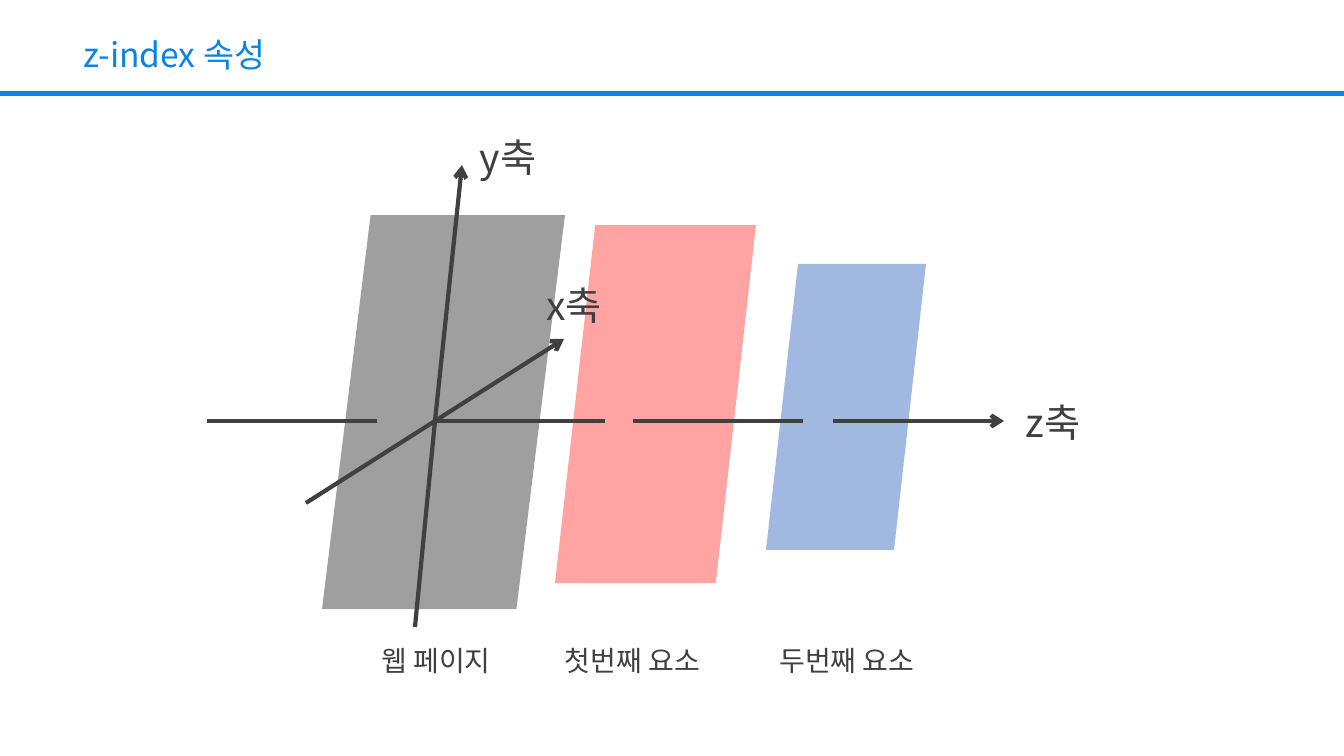
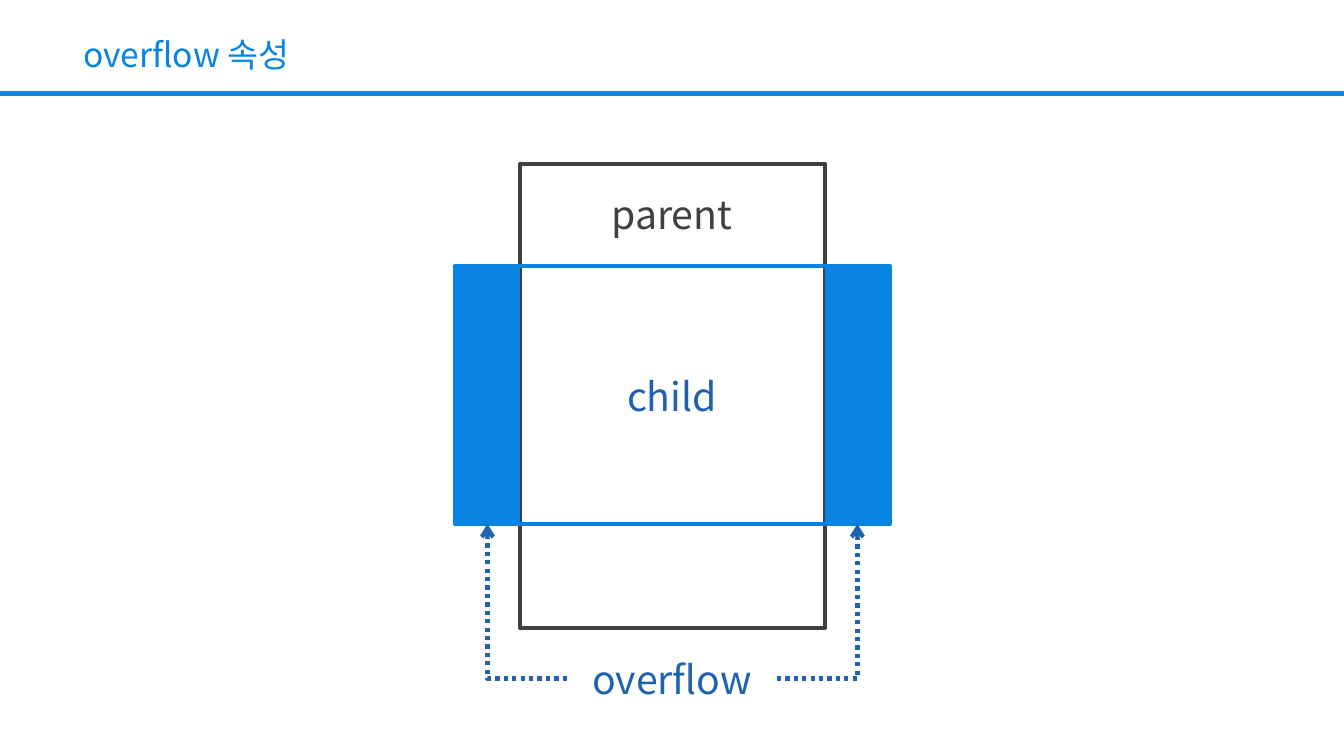
from pptx import Presentation
from pptx.dml.color import RGBColor
from pptx.enum.dml import MSO_LINE as Dash
from pptx.enum.shapes import MSO_CONNECTOR as Conn, MSO_SHAPE as Geom
from pptx.enum.text import MSO_ANCHOR as Anchor, PP_ALIGN as Align
from pptx.oxml.ns import qn
from pptx.util import Emu, Pt
from lxml.etree import SubElement as Sub

WIDE, HIGH = 1344, 756
UNIT = 12192000 / WIDE
FONT = "Noto Sans CJK KR"
BLUE, NAVY, DARK = "0984E3", "2162AF", "404040"
RED, SKY = "FF4949", "4472C4"


def px(*nums):
    """Turn px lengths into EMU."""
    return [Emu(round(n * UNIT)) for n in nums]


def hue(code):
    """Turn a hex string into a colour."""
    return RGBColor.from_string(code)


def write(frame, text, size, color, align=Align.CENTER):
    """Write one styled run into a text frame."""
    frame.word_wrap = True
    frame.vertical_anchor = Anchor.TOP
    para = frame.paragraphs[0]
    para.alignment = align
    run = para.add_run()
    run.text = text
    font = run.font
    font.size = Pt(size)
    font.color.rgb = hue(color)
    font.name = FONT
    Sub(run._r.get_or_add_rPr(), qn("a:ea")).set("typeface", FONT)


def label(slide, box, text, size=28, color=DARK):
    """Add a centred text box."""
    item = slide.shapes.add_textbox(*px(*box))
    write(item.text_frame, text, size, color)
    return item


def shape(slide, box, fill=None, edge=None, width=3, geom=Geom.RECTANGLE):
    """Add a preset shape with an optional fill and edge."""
    item = slide.shapes.add_shape(geom, *px(*box))
    item.shadow.inherit = False
    if fill:
        item.fill.solid()
        item.fill.fore_color.rgb = hue(fill)
    else:
        item.fill.background()
    if edge:
        item.line.color.rgb = hue(edge)
        item.line.width = Pt(width)
    else:
        item.line.fill.background()
    return item


def link(slide, ends, color=DARK, arrow=False, kind=Conn.STRAIGHT):
    """Add a connector, with an arrowhead if asked."""
    item = slide.shapes.add_connector(kind, *px(*ends))
    item.line.color.rgb = hue(color)
    item.line.width = Pt(3)
    if arrow:
        Sub(item.line._get_or_add_ln(), qn("a:tailEnd")).set("type", "arrow")
    Sub(item._element.spPr, qn("a:effectLst"))
    return item


def page(deck, title):
    """Add a slide with its title."""
    slide = deck.slides.add_slide(deck.slide_layouts[5])
    head = slide.shapes.title
    head.left, head.top, head.width, head.height = px(73, 29, 1198, 50)
    write(head.text_frame, title, 24, BLUE, Align.LEFT)
    return slide


def band(deck, slide):
    """Put the blue rule on the shared layout."""
    rule = shape(slide, (0, 92, WIDE, 3), BLUE, BLUE, 1)._element
    rule.nvSpPr.cNvPr.set("id", "99")
    deck.slide_layouts[5].shapes._spTree.append(rule)


def plane(slide, box, color):
    """Add a half-clear slanted plane."""
    item = shape(slide, box, color, geom=Geom.FLOWCHART_DATA)
    item.rotation = 180
    tint = item._element.spPr.find(qn("a:solidFill"))[0]
    Sub(tint, qn("a:alpha")).set("val", "50000")


def axes(slide, box):
    """Draw the planes stacked along the z axis."""
    left, top, wide, high = box
    planes = [(115, 87, 243, 394, DARK), (348, 97, 201, 358, RED),
              (559, 136, 160, 286, SKY)]
    for x, y, w, h, color in planes:
        plane(slide, (left + x, top + y, w, h), color)
    mid = (228, 293)
    lines = [(0, 293, 170, 293, False), (*mid, 398, 293, False),
             (426, 293, 596, 293, False), (626, 293, 797, 293, True),
             (99, 375, *mid, False), (*mid, 357, 211, True),
             (208, 499, *mid, False), (*mid, 255, 37, True)]
    for x, y, u, v, arrow in lines:
        link(slide, (left + x, top + y, left + u, top + v), arrow=arrow)
    for text, x, y in [("x축", 293, 148), ("y축", 227, 0),
                       ("z축", wide - 148, 265)]:
        label(slide, (left + x, top + y, 148, 57), text)
    for text, x, w in [("웹 페이지", 136, 186), ("첫번째 요소", 320, 211),
                       ("두번째 요소", 528, 224)]:
        label(slide, (left + x, top + high - 44, w, 44), text, 20)


def spill(slide, box):
    """Draw a child box that is wider than its parent."""
    left, top, wide, high = box
    side, gap, tall = 65, 102, 258
    row = top + gap
    mid = left + wide // 2
    shape(slide, (left + side, top, wide - 2 * side, 464), edge=DARK)
    label(slide, (mid - 81, top + 21, 162, 57), "parent")
    label(slide, (mid - 81, top + 203, 162, 57), "child", color=NAVY)
    bars = [shape(slide, (x, row, side, tall), BLUE)
            for x in (left, left + wide - side)]
    shape(slide, (left, row, wide, tall), edge=BLUE)
    name = label(slide, (mid - 105, top + high - 57, 210, 57), "overflow",
                 color=NAVY)
    for bar, site in zip(bars, (1, 3)):
        bend = link(slide, (mid, top + high, mid, row), NAVY, True, Conn.ELBOW)
        bend.line.dash_style = Dash.ROUND_DOT
        bend.begin_connect(name, site)
        bend.end_connect(bar, 2)
        bend._element.spPr.find(qn("a:prstGeom")).set("prst", "bentConnector2")


def main():
    """Build and save the deck."""
    deck = Presentation()
    deck.slide_width, deck.slide_height = px(WIDE, HIGH)
    slide = page(deck, "z-index 속성")
    band(deck, slide)
    axes(slide, (207, 128, 920, 555))
    spill(page(deck, "overflow 속성"), (455, 164, 435, 543))
    deck.save("out.pptx")


if __name__ == "__main__":
    main()
